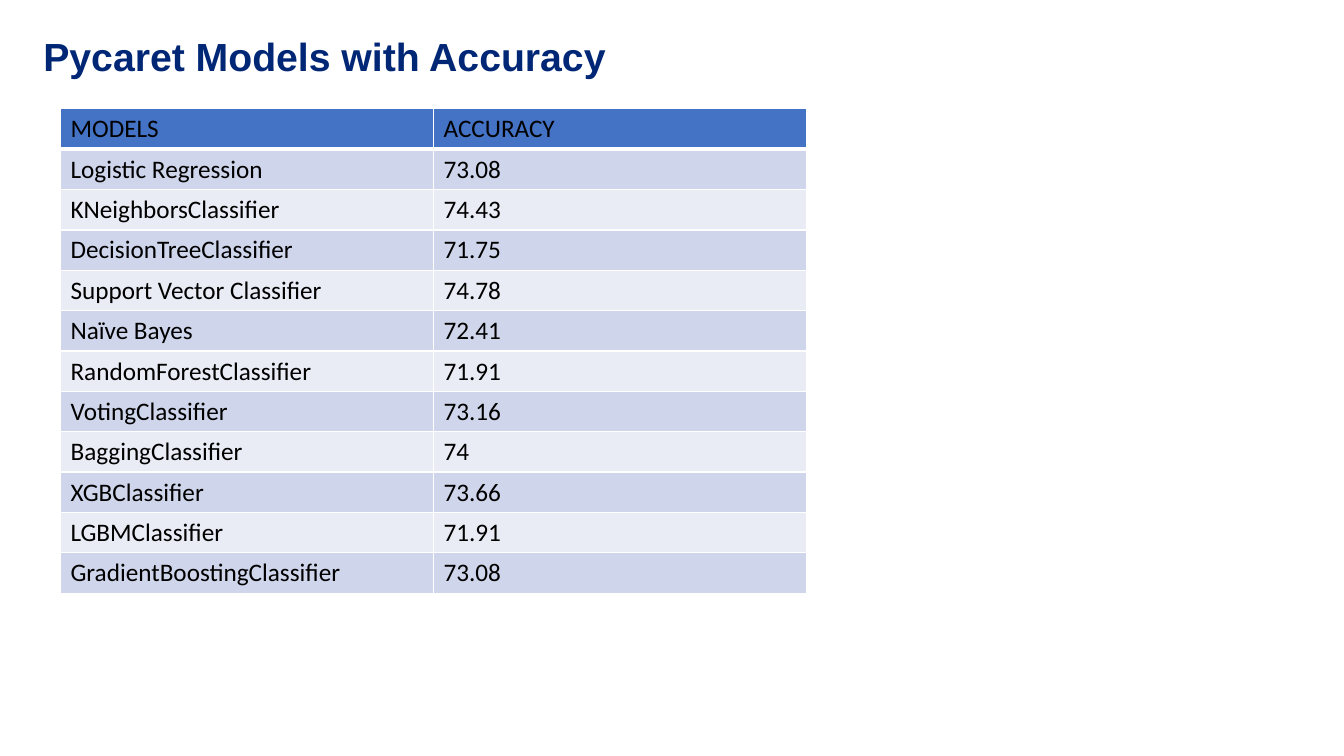
from dataclasses import dataclass

from lxml import etree
from pptx import Presentation
from pptx.dml.color import RGBColor
from pptx.enum.text import MSO_ANCHOR, MSO_AUTO_SIZE, PP_ALIGN
from pptx.oxml.ns import qn
from pptx.slide import Slide
from pptx.table import _Cell
from pptx.util import Inches, Pt

TOP = MSO_ANCHOR.TOP
LEFT = PP_ALIGN.LEFT
FIT_SHAPE = MSO_AUTO_SIZE.SHAPE_TO_FIT_TEXT
TITLE_ONLY = 5

COLORS = {
    "title": "002776",
    "text": "000000",
    "header": "4472C4",
    "odd_row": "CFD5EA",
    "even_row": "E9EBF5",
    "border": "FFFFFF",
}
COLUMN_WIDTH = Inches(3.7)
ROW_HEIGHT = Inches(0.4)


@dataclass(frozen=True)
class ModelScore:
    model: str
    accuracy: str


HEADER = ModelScore("MODELS", "ACCURACY")
SCORES = [
    ModelScore("Logistic Regression", "73.08"),
    ModelScore("KNeighborsClassifier", "74.43"),
    ModelScore("DecisionTreeClassifier", "71.75"),
    ModelScore("Support Vector Classifier", "74.78"),
    ModelScore("Naïve Bayes", "72.41"),
    ModelScore("RandomForestClassifier", "71.91"),
    ModelScore("VotingClassifier", "73.16"),
    ModelScore("BaggingClassifier", "74"),
    ModelScore("XGBClassifier", "73.66"),
    ModelScore("LGBMClassifier", "71.91"),
    ModelScore("GradientBoostingClassifier", "73.08"),
]


def make_line(tag: str, width: float, color: str) -> etree._Element:
    """Return a solid line element for a cell border or a text outline."""
    line = etree.Element(qn(tag), w=str(Pt(width)))
    fill = etree.SubElement(line, qn("a:solidFill"))
    etree.SubElement(fill, qn("a:srgbClr"), val=COLORS[color])
    return line


def add_run(paragraph, text: str, font_name: str, size: int, color: str):
    run = paragraph.add_run()
    run.text = text
    run.font.name = font_name
    run.font.size = Pt(size)
    run.font.color.rgb = RGBColor.from_string(COLORS[color])
    return run


def add_title(slide: Slide, text: str) -> None:
    title = slide.shapes.title
    title.left, title.top = Inches(0.33), Inches(0.27)
    title.width, title.height = Inches(11.14), Inches(0.57)
    frame = title.text_frame
    frame.word_wrap = True
    frame.auto_size = FIT_SHAPE
    frame.vertical_anchor = TOP
    paragraph = frame.paragraphs[0]
    paragraph.alignment = LEFT
    add_run(paragraph, text, "Arial", 28, "title").font.bold = True


def fill_cell(cell: _Cell, text: str, fill: str, is_header: bool) -> None:
    cell.fill.solid()
    cell.fill.fore_color.rgb = RGBColor.from_string(COLORS[fill])
    run = add_run(cell.text_frame.paragraphs[0], text, "Calibri", 18, "text")
    run.font.bold = False
    if is_header:
        run.font._element.insert(0, make_line("a:ln", 0.75, "text"))

    # Borders come before the fill in the cell properties
    properties = cell._tc.get_or_add_tcPr()
    bottom_width = 3 if is_header else 1
    border_widths = {"a:lnL": 1, "a:lnR": 1, "a:lnT": 1, "a:lnB": bottom_width}
    for position, (tag, width) in enumerate(border_widths.items()):
        properties.insert(position, make_line(tag, width, "border"))


def add_score_table(slide: Slide, scores: list[ModelScore]) -> None:
    rows = [HEADER, *scores]
    table = slide.shapes.add_table(
        len(rows), 2, Inches(0.6), Inches(1.08),
        COLUMN_WIDTH * 2, ROW_HEIGHT * len(rows),
    ).table
    for row_index, score in enumerate(rows):
        is_header = row_index == 0
        band = "odd_row" if row_index % 2 else "even_row"
        fill = "header" if is_header else band
        for column_index, text in enumerate((score.model, score.accuracy)):
            fill_cell(table.cell(row_index, column_index), text, fill, is_header)


def main() -> None:
    presentation = Presentation()
    presentation.slide_width = Inches(13.33)
    presentation.slide_height = Inches(7.5)
    slide = presentation.slides.add_slide(presentation.slide_layouts[TITLE_ONLY])

    # Heading, then the accuracy of each model
    add_title(slide, "Pycaret Models with Accuracy")
    add_score_table(slide, SCORES)

    presentation.save("out.pptx")


if __name__ == "__main__":
    main()
